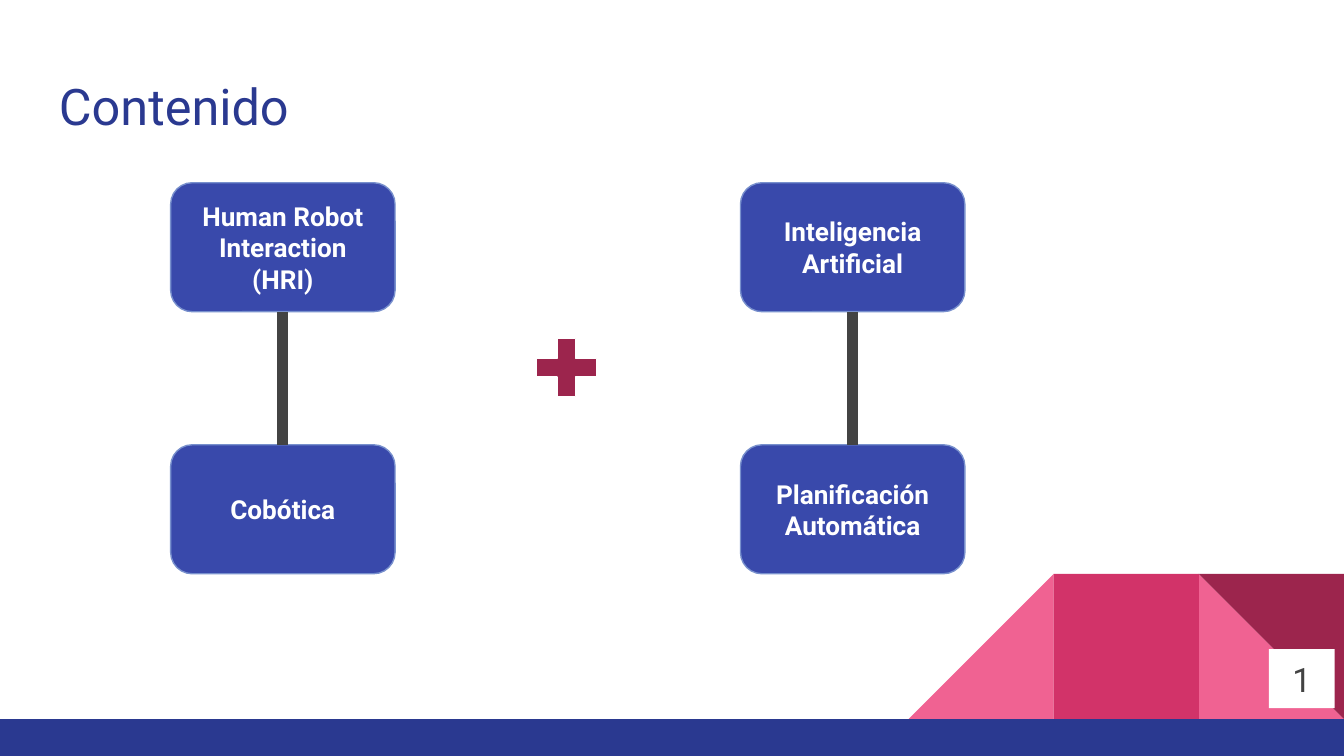
from lxml.etree import SubElement
from pptx import Presentation
from pptx.dml.color import RGBColor as Rgb
from pptx.enum.shapes import MSO_CONNECTOR as Link, MSO_SHAPE as Kind
from pptx.enum.text import MSO_ANCHOR as Anchor, PP_ALIGN as Align
from pptx.oxml.ns import qn
from pptx.util import Pt

TITLE = "Contenido"
NUMBER = "1"
TOPICS = [
    ("Human Robot Interaction (HRI)", "Cobótica"),
    ("Inteligencia Artificial", "Planificación Automática"),
]
THEME = {
    "font": "Roboto",
    "navy": "2A3990", "blue": "3949AB", "edge": "7890CD",
    "pink": "F06292", "rose": "D23369", "wine": "9C254D",
    "gray": "434343", "white": "FFFFFF",
    "title": 27, "topic": 14, "number": 18,
}
WIDE, HIGH = 720, 405
TILE, BASE = 77.76, 385.2
TILES = [
    (Kind.RIGHT_TRIANGLE, 1, "pink", 0),
    (Kind.RIGHT_TRIANGLE, 3, "pink", 270),
    (Kind.RECTANGLE, 2, "rose", 0),
    (Kind.RIGHT_TRIANGLE, 1, "wine", 180),
]
LEFT, TOP = 91.44, 97.92
BOX_W, BOX_H = 120.24, 69.12
STEP_X, STEP_Y = 305.28, 140.4


def tint(name):
    return Rgb.from_string(THEME[name])


def draw(slide, kind, x, y, w, h, fill, edge=None, turn=0):
    shape = slide.shapes.add_shape(kind, Pt(x), Pt(y), Pt(w), Pt(h))
    shape.shadow.inherit = False
    shape.rotation = turn
    shape.fill.solid()
    shape.fill.fore_color.rgb = tint(fill)
    if edge:
        shape.line.color.rgb = tint(edge)
        shape.line.width = Pt(0.75)
    else:
        shape.line.fill.background()
    return shape


def write(shape, text, size, color="white", bold=False, align=Align.CENTER, anchor=Anchor.MIDDLE):
    frame = shape.text_frame
    frame.word_wrap = True
    frame.vertical_anchor = anchor
    frame.margin_left = frame.margin_right = Pt(7.2)
    frame.margin_top = frame.margin_bottom = Pt(7.2)
    para = frame.paragraphs[0]
    para.alignment = align
    run = para.add_run()
    run.text = text
    font = run.font
    font.name, font.size, font.bold = THEME["font"], Pt(THEME[size]), bold
    font.color.rgb = tint(color)


def join(slide, upper, lower):
    line = slide.shapes.add_connector(Link.STRAIGHT, 0, 0, 0, 0)
    line.begin_connect(upper, 2)
    line.end_connect(lower, 0)
    line.line.color.rgb = tint("gray")
    line.line.width = Pt(6)
    SubElement(line._element.spPr, qn("a:effectLst"))


def main():
    """Build the contents slide with two linked topic pairs."""
    deck = Presentation()
    deck.slide_width, deck.slide_height = Pt(WIDE), Pt(HIGH)
    slide = deck.slides.add_slide(deck.slide_layouts[6])

    for kind, place, fill, turn in TILES:
        draw(slide, kind, WIDE - place * TILE, BASE - TILE, TILE, TILE, fill, turn=turn)
    draw(slide, Kind.RECTANGLE, 0, BASE, WIDE, HIGH - BASE, "navy")

    title = slide.shapes.add_textbox(Pt(24.48), Pt(32.4), Pt(671.04), Pt(47.52))
    write(title, TITLE, "title", color="navy", align=Align.LEFT, anchor=Anchor.BOTTOM)

    for col, names in enumerate(TOPICS):
        pair = []
        for row, name in enumerate(names):
            box = draw(slide, Kind.ROUNDED_RECTANGLE, LEFT + col * STEP_X,
                       TOP + row * STEP_Y, BOX_W, BOX_H, "blue", edge="edge")
            write(box, name, "topic", bold=True)
            pair.append(box)
        join(slide, *pair)

    plus = draw(slide, Kind.MATH_PLUS, 281.52, 175.68, 43.92, 42.48, "wine", edge="white")
    plus.adjustments[0] = 0.235
    badge = draw(slide, Kind.RECTANGLE, 679.68, 347.76, 35.28, 31.68, "white")
    write(badge, NUMBER, "number", color="gray")
    deck.save("out.pptx")


if __name__ == "__main__":
    main()
